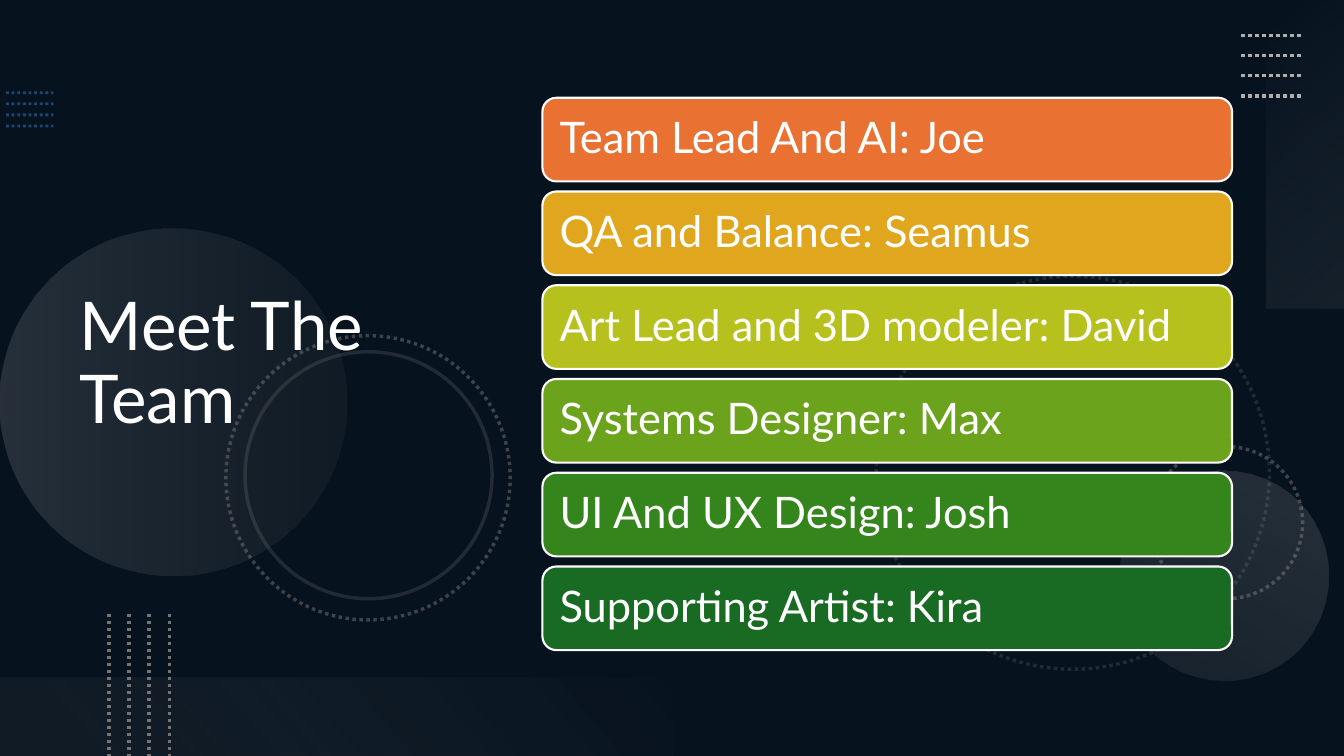
"""Build the team slide: dark backdrop, dotted ornaments, title and role bars."""
from dataclasses import dataclass

from lxml.etree import SubElement
from pptx import Presentation
from pptx.dml.color import RGBColor
from pptx.enum.dml import MSO_LINE
from pptx.enum.shapes import MSO_CONNECTOR, MSO_SHAPE as Form
from pptx.enum.text import MSO_ANCHOR, MSO_AUTO_SIZE, PP_ALIGN
from pptx.oxml.ns import qn
from pptx.shapes.autoshape import Shape
from pptx.shapes.base import BaseShape
from pptx.slide import Slide
from pptx.text.text import TextFrame
from pptx.util import Inches, Pt

NAVY = RGBColor(0x0E, 0x28, 0x41)
BLACK = RGBColor(0, 0, 0)
WHITE = RGBColor(0xFF, 0xFF, 0xFF)
BLUE = RGBColor(0x2D, 0x7F, 0xCF)
GRAY = RGBColor(0x74, 0x74, 0x74)
SILVER = RGBColor(0xAE, 0xAE, 0xAE)
PALE = RGBColor(0xF6, 0xF6, 0xF6)
MIST = RGBColor(0xF1, 0xF1, 0xF1)
ORANGE = RGBColor(0xE9, 0x71, 0x32)
AMBER = RGBColor(0xE0, 0xA6, 0x1D)
LIME = RGBColor(0xB7, 0xC1, 0x1E)
LEAF = RGBColor(0x6B, 0xA3, 0x1D)
GREEN = RGBColor(0x34, 0x86, 0x1C)
PINE = RGBColor(0x19, 0x6B, 0x24)
FONT = "Lato"


@dataclass
class Box:
    left: float
    top: float
    width: float
    height: float
    turn: float = 0


@dataclass
class Stop:
    place: float
    color: RGBColor
    alpha: int


@dataclass
class Glow:
    form: Form
    box: Box
    angle: int
    stops: tuple[Stop, Stop]


@dataclass
class Ring:
    box: Box
    alpha: int
    dotted: bool = True


@dataclass
class Dots:
    left: float
    top: float
    length: float
    gap: float
    color: RGBColor
    width: float = 2.5
    alpha: int = 100
    upright: bool = False


@dataclass
class Role:
    text: str
    color: RGBColor


DISCS = (
    Glow(Form.OVAL, Box(0, 2.27, 3.44, 3.44, 270), 90,
         (Stop(0, SILVER, 20), Stop(1, GRAY, 10))),
    Glow(Form.OVAL, Box(11.1, 4.67, 2.08, 2.08, 210), 90,
         (Stop(0, SILVER, 10), Stop(1, SILVER, 20))),
)
SIDE = Glow(Form.RECTANGLE, Box(11.42, 1.14, 3.06, 0.78, 270), 140,
            (Stop(0, PALE, 0), Stop(1, SILVER, 10)))
FOOT = Glow(Form.RECTANGLE, Box(0, 6.72, 6.67, 0.78, 180), 140,
            (Stop(0.1, GRAY, 10), Stop(1, MIST, 0)))
BACK = (
    Ring(Box(8.69, 2.74, 3.9, 3.9, 75), 25),
    Ring(Box(11.41, 4.43, 1.51, 1.51, 270), 50),
)
FRONT = (
    Ring(Box(2.24, 3.33, 2.82, 2.82, 75), 50),
    Ring(Box(2.43, 3.49, 2.45, 2.45, 75), 25, False),
)
ROLES = (
    Role("Team Lead And AI: Joe", ORANGE),
    Role("QA and Balance: Seamus", AMBER),
    Role("Art Lead and 3D modeler: David", LIME),
    Role("Systems Designer: Max", LEAF),
    Role("UI And UX Design: Josh", GREEN),
    Role("Supporting Artist: Kira", PINE),
)


def fade(shape: BaseShape, *alphas: int) -> None:
    """Give the colours of a shape their opacity, in percent."""
    tints = list(shape.element.spPr.iter(qn("a:srgbClr")))
    for tint, alpha in zip(tints, alphas):
        SubElement(tint, qn("a:alpha")).set("val", str(alpha * 1000))


def add_form(slide: Slide, form: Form, box: Box) -> Shape:
    """Add a preset shape without fill, line or shadow."""
    shape = slide.shapes.add_shape(form, Inches(box.left), Inches(box.top),
                                   Inches(box.width), Inches(box.height))
    shape.rotation = box.turn
    shape.shadow.inherit = False
    shape.fill.background()
    shape.line.fill.background()
    return shape


def add_veil(slide: Slide) -> None:
    """Darken the whole slide."""
    veil = add_form(slide, Form.RECTANGLE, Box(0, 0, 13.33, 7.5))
    veil.fill.solid()
    veil.fill.fore_color.rgb = BLACK
    fade(veil, 53)


def add_glow(slide: Slide, glow: Glow) -> None:
    """Add a shape with a see-through gradient."""
    shape = add_form(slide, glow.form, glow.box)
    shape.fill.gradient()
    shape.fill.gradient_angle = 360 - glow.angle
    for mark, stop in zip(shape.fill.gradient_stops, glow.stops):
        mark.position = stop.place
        mark.color.rgb = stop.color
    fade(shape, *(stop.alpha for stop in glow.stops))


def add_ring(slide: Slide, ring: Ring) -> None:
    """Add a circle outline."""
    shape = add_form(slide, Form.OVAL, ring.box)
    shape.line.color.rgb = GRAY
    shape.line.width = Pt(2.5)
    if ring.dotted:
        shape.line.dash_style = MSO_LINE.ROUND_DOT
    fade(shape, ring.alpha)


def add_dots(slide: Slide, dots: Dots) -> None:
    """Add four parallel dotted lines."""
    for i in range(4):
        x = dots.left + i * dots.gap * dots.upright
        y = dots.top + i * dots.gap * (not dots.upright)
        end_x = x + dots.length * (not dots.upright)
        end_y = y + dots.length * dots.upright
        line = slide.shapes.add_connector(
            MSO_CONNECTOR.STRAIGHT, Inches(x), Inches(y), Inches(end_x), Inches(end_y))
        line.line.color.rgb = dots.color
        line.line.width = Pt(dots.width)
        line.line.dash_style = MSO_LINE.ROUND_DOT
        fade(line, dots.alpha)
        SubElement(line.element.spPr, qn("a:effectLst"))


def write(frame: TextFrame, text: str, size: float) -> None:
    """Write one white left-aligned line, centred in height."""
    frame.word_wrap = True
    frame.auto_size = MSO_AUTO_SIZE.NONE
    frame.vertical_anchor = MSO_ANCHOR.MIDDLE
    para = frame.paragraphs[0]
    para.alignment = PP_ALIGN.LEFT
    para.line_spacing = 0.9
    run = para.add_run()
    run.text = text
    run.font.name = FONT
    run.font.size = Pt(size)
    run.font.color.rgb = WHITE


def add_title(slide: Slide) -> None:
    """Place the title at the left, above the ornaments."""
    title = slide.shapes.title
    title.left, title.top = Inches(0.69), Inches(0.54)
    title.width, title.height = Inches(4.59), Inches(6.17)
    write(title.text_frame, "Meet The Team", 48)
    slide.shapes.element.append(title.element)


def add_role(slide: Slide, role: Role, top: float) -> None:
    """Add one coloured bar with a role and a name."""
    bar = add_form(slide, Form.ROUNDED_RECTANGLE, Box(5.38, top, 6.84, 0.83))
    bar.fill.solid()
    bar.fill.fore_color.rgb = role.color
    bar.line.color.rgb = WHITE
    bar.line.width = Pt(1.5)
    frame = bar.text_frame
    frame.margin_left = frame.margin_right = Inches(0.13)
    write(frame, role.text, 31)


def main() -> None:
    """Build and save the slide."""
    deck = Presentation()
    deck.slide_width, deck.slide_height = Inches(13.33), Inches(7.5)
    slide = deck.slides.add_slide(deck.slide_layouts.get_by_name("Title Only"))
    slide.background.fill.solid()
    slide.background.fill.fore_color.rgb = NAVY
    add_veil(slide)
    add_dots(slide, Dots(0.06, 0.92, 0.47, 0.11, BLUE, 2, 50))
    for ring in BACK:
        add_ring(slide, ring)
    for disc in DISCS:
        add_glow(slide, disc)
    for ring in FRONT:
        add_ring(slide, ring)
    add_glow(slide, SIDE)
    add_dots(slide, Dots(12.31, 0.35, 0.6, 0.2, SILVER))
    add_glow(slide, FOOT)
    add_dots(slide, Dots(1.08, 6.09, 1.41, 0.2, GRAY, upright=True))
    add_title(slide)
    for i, role in enumerate(ROLES):
        add_role(slide, role, 0.97 + i * 0.93)
    deck.save("out.pptx")


if __name__ == "__main__":
    main()
